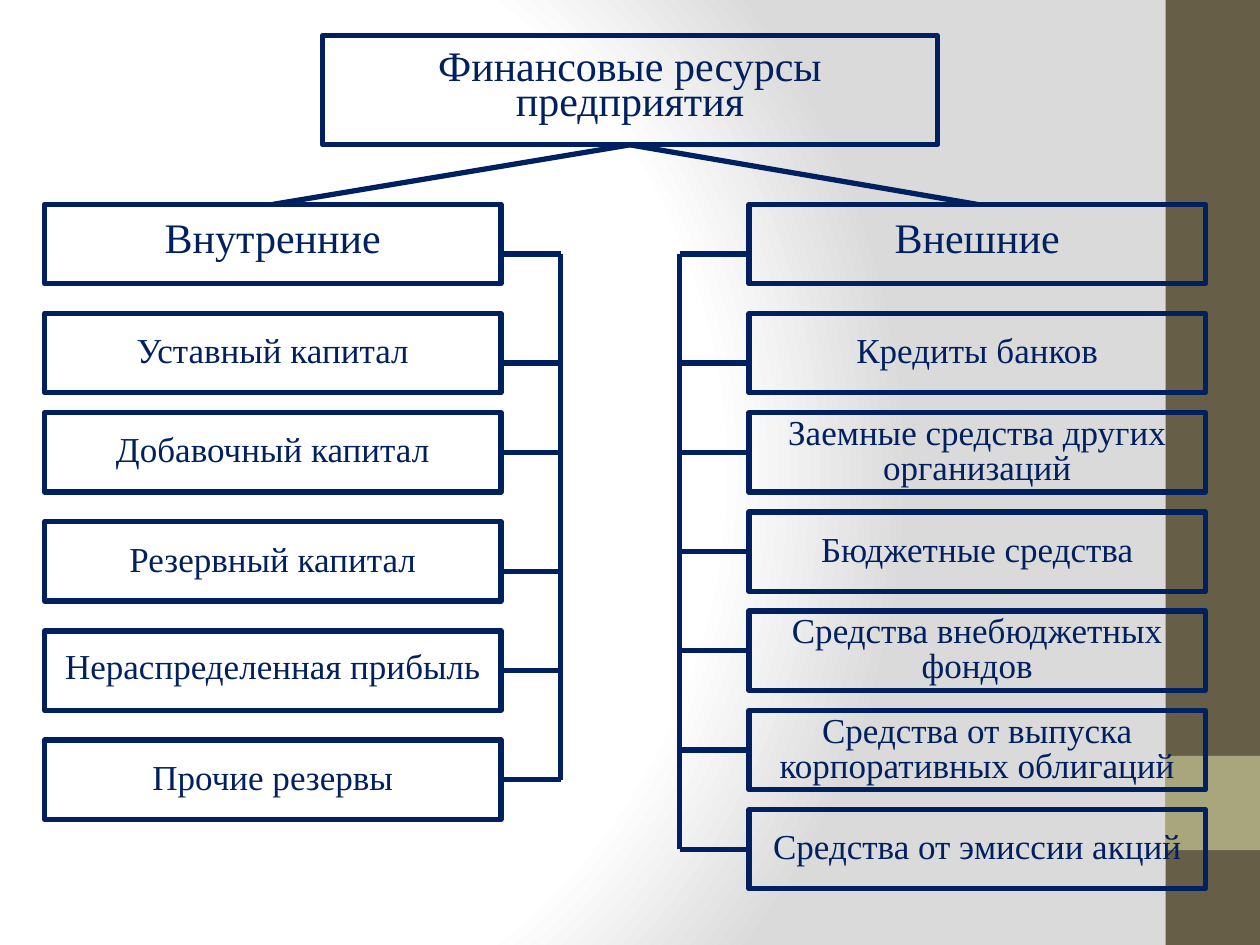
from pptx import Presentation
from pptx.dml.color import RGBColor as RGB
from pptx.enum.shapes import MSO_CONNECTOR as Line, MSO_SHAPE as Kind
from pptx.enum.text import MSO_ANCHOR as Anchor, PP_ALIGN as Align
from pptx.oxml import parse_xml
from pptx.oxml.ns import nsdecls, qn
from pptx.util import Cm, Pt

HUES = {"navy": "002060", "brown": "675E47", "olive": "A9A57C",
        "white": "FFFFFF", "grey": "DADADA"}
STOPS = [(0, "white"), (75, "white"), (100, "grey")]
WIDE, HIGH = 9.2, 1.6
HEAD_TOP = 4.12
BOTTOM, LEFT, RIGHT = 2, 1, 3

# Rows: text, top, drop of the tick below the middle of the box
INNER = [("Внутренние", HEAD_TOP, 0.2), ("Уставный капитал", 6.32, 0.2),
         ("Добавочный капитал", 8.32, 0), ("Резервный капитал", 10.52, 0.2),
         ("Нераспределенная прибыль", 12.72, 0), ("Прочие резервы", 14.92, 0)]
LOANS = ["Кредиты банков", "Заемные средства других организаций",
         "Бюджетные средства", "Средства внебюджетных фондов",
         "Средства от выпуска корпоративных облигаций",
         "Средства от эмиссии акций"]
OUTER = [("Внешние", HEAD_TOP, 0.2)] + [
    (text, 6.32 + 2 * i, 0 if i else 0.2) for i, text in enumerate(LOANS)]
TIGHT = {"Нераспределенная прибыль": 18}


class Chart:
    """Holds the style and the slide being drawn."""

    font = "Times New Roman"
    ink = RGB.from_string(HUES["navy"])
    width = Pt(3)

    def __init__(self, slide):
        self.slide = slide

    def glow(self):
        """Fill the background with a radial gradient."""
        back = self.slide.background.fill
        back.gradient()
        old = self.slide.element.find(".//" + qn("a:gradFill"))
        stops = "".join(
            f'<a:gs pos="{pos * 1000}"><a:srgbClr val="{HUES[hue]}"/></a:gs>'
            for pos, hue in STOPS)
        new = parse_xml(
            f'<a:gradFill {nsdecls("a")} rotWithShape="1"><a:gsLst>{stops}</a:gsLst>'
            '<a:path path="circle"><a:fillToRect l="20000" t="50000" '
            'r="100000" b="50000"/></a:path></a:gradFill>')
        old.getparent().replace(old, new)

    def rect(self, *spot):
        shape = self.slide.shapes.add_shape(Kind.RECTANGLE, *map(Cm, spot))
        shape.shadow.inherit = False
        return shape

    def band(self, hue, *spot):
        shape = self.rect(*spot)
        shape.fill.solid()
        shape.fill.fore_color.rgb = RGB.from_string(HUES[hue])
        shape.line.fill.background()

    def box(self, text, size, *spot):
        shape = self.rect(*spot)
        shape.fill.background()
        shape.line.color.rgb = self.ink
        shape.line.width = self.width
        frame = shape.text_frame
        frame.word_wrap = True
        frame.vertical_anchor = Anchor.MIDDLE
        para = frame.paragraphs[0]
        para.text = text
        form = {"alignment": Align.CENTER,
                "line_spacing": Pt(TIGHT.get(text, 20))}
        for key, val in form.items():
            setattr(para, key, val)
        for key, val in {"name": self.font, "size": Pt(size)}.items():
            setattr(para.font, key, val)
        para.font.color.rgb = self.ink
        return shape

    def link(self, *ends):
        line = self.slide.shapes.add_connector(Line.STRAIGHT, *map(Cm, ends))
        line.line.color.rgb = self.ink
        line.line.width = self.width
        line.element.spPr.append(parse_xml(f'<a:effectLst {nsdecls("a")}/>'))
        return line

    def branch(self, root, rows, left, edge, rail, side):
        """Draw a column of boxes, its rail with ticks, and the line from the root."""
        marks = []
        for i, (text, top, drop) in enumerate(rows):
            box = self.box(text, 20 if i else 24, left, top, WIDE, HIGH)
            mark = top + HIGH / 2 + drop
            tick = self.link(edge, mark, rail, mark)
            if not drop:
                tick.begin_connect(box, side)
            if not i:
                arm = self.link(12.7, 2.92, left + WIDE / 2, top)
                arm.begin_connect(root, BOTTOM)
                arm.end_connect(box, 0)
            marks.append(mark)
        self.link(rail, marks[0], rail, marks[-1])


def main():
    deck = Presentation()
    deck.slide_width, deck.slide_height = Cm(25.4), Cm(19.05)
    chart = Chart(deck.slides.add_slide(deck.slide_layouts[6]))
    chart.glow()
    chart.band("brown", 23.5, 0, 1.9, 19.05)
    chart.band("olive", 23.5, 15.24, 1.9, 1.9)
    root = chart.box("Финансовые ресурсы предприятия", 24, 6.5, 0.72, 12.4, 2.2)
    chart.branch(root, INNER, 0.9, 10.1, 11.3, RIGHT)
    chart.branch(root, OUTER, 15.1, 15.1, 13.7, LEFT)
    deck.save("out.pptx")


if __name__ == "__main__":
    main()
